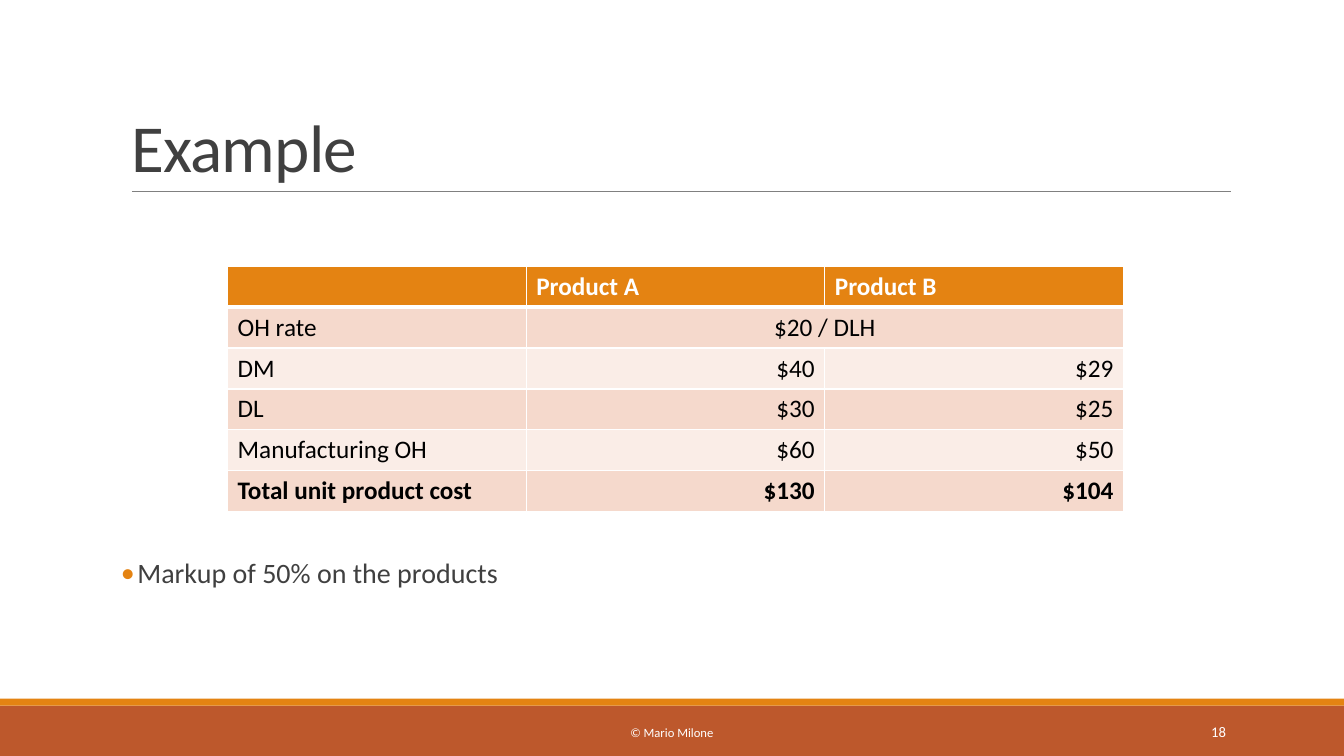
from dataclasses import dataclass

from lxml.etree import SubElement
from pptx import Presentation
from pptx.dml.color import RGBColor
from pptx.enum.shapes import MSO_CONNECTOR as Connector, MSO_SHAPE as Shape
from pptx.enum.text import MSO_ANCHOR as Anchor, MSO_AUTO_SIZE as AutoSize, PP_ALIGN as Align
from pptx.oxml import parse_xml
from pptx.oxml.ns import nsdecls, qn
from pptx.util import Pt

# Content
TITLE = "Example"
BULLET = "Markup of 50% on the products"
FOOTER = "© Mario Milone"
SLIDE_NUMBER = "18"
COST_TABLE = [
    ("", "Product A", "Product B"),
    ("OH rate", "$20 / DLH", ""),
    ("DM", "$40", "$29"),
    ("DL", "$30", "$25"),
    ("Manufacturing OH", "$60", "$50"),
    ("Total unit product cost", "$130", "$104"),
]
SHARED_ROW = 1  # one value spans both products


@dataclass(frozen=True)
class Theme:
    font: str = "Calibri"
    white: str = "FFFFFF"
    black: str = "000000"
    text: str = "404040"
    rule: str = "808080"
    accent: str = "E48312"
    footer_band: str = "BD582C"
    row_dark: str = "F5D9CC"
    row_light: str = "FAEDE7"
    title_size: float = 48
    body_size: float = 20
    table_size: float = 18
    number_size: float = 10.5
    footer_size: float = 9


THEME = Theme()
WIDTH, HEIGHT = 960, 540
MARGIN, CONTENT_WIDTH = 86.4, 792
BAND_TOP, STRIPE_HEIGHT = 504, 5
TABLE_LEFT, TABLE_TOP = 162.6, 190.2
COLUMN_WIDTH, ROW_HEIGHT = 213.3, 29.2
BULLET_INDENT = 11.7


def style(paragraph, size, color, align=Align.LEFT, bold=False):
    paragraph.alignment = align
    font = paragraph.font
    font.name, font.size, font.bold = THEME.font, Pt(size), bold
    font.color.rgb = RGBColor.from_string(color)


def place(shape, left, top, width, height):
    shape.left, shape.top, shape.width, shape.height = map(Pt, (left, top, width, height))


def add_bar(slide, top, height, color):
    bar = slide.shapes.add_shape(Shape.RECTANGLE, 0, Pt(top), Pt(WIDTH), Pt(height))
    bar.shadow.inherit = False
    bar.fill.solid()
    bar.fill.fore_color.rgb = RGBColor.from_string(color)
    bar.line.fill.background()


def add_label(slide, text, left, width, size, align):
    frame = slide.shapes.add_textbox(Pt(left), Pt(508.5), Pt(width), Pt(28.8)).text_frame
    frame.word_wrap = True
    frame.vertical_anchor = Anchor.MIDDLE
    frame.text = text
    style(frame.paragraphs[0], size, THEME.white, align)


def add_bullet(paragraph):
    properties = paragraph._p.get_or_add_pPr()
    properties.set("marL", str(Pt(BULLET_INDENT)))
    properties.set("indent", str(-Pt(BULLET_INDENT)))
    color = SubElement(properties, qn("a:buClr"))
    SubElement(color, qn("a:srgbClr"), val=THEME.accent)
    SubElement(properties, qn("a:buFont"), typeface=THEME.font)
    SubElement(properties, qn("a:buChar"), char="•")


def set_borders(cell, top, bottom):
    properties = cell._tc.get_or_add_tcPr()
    widths = {"lnL": 1, "lnR": 1, "lnT": top, "lnB": bottom}
    for position, (side, width) in enumerate(widths.items()):
        properties.insert(position, parse_xml(
            f'<a:{side} {nsdecls("a")} w="{Pt(width)}"><a:solidFill>'
            f'<a:srgbClr val="{THEME.white}"/></a:solidFill></a:{side}>'))


def add_cost_table(slide):
    rows, columns = len(COST_TABLE), len(COST_TABLE[0])
    table = slide.shapes.add_table(
        rows, columns, Pt(TABLE_LEFT), Pt(TABLE_TOP),
        Pt(COLUMN_WIDTH * columns), Pt(ROW_HEIGHT * rows)).table
    for row, values in enumerate(COST_TABLE):
        table.rows[row].height = Pt(ROW_HEIGHT)
        header, total = row == 0, row == rows - 1
        band = THEME.row_dark if row % 2 else THEME.row_light
        for column, value in enumerate(values):
            cell = table.cell(row, column)
            cell.text = value
            cell.fill.solid()
            cell.fill.fore_color.rgb = RGBColor.from_string(THEME.accent if header else band)
            set_borders(cell, 3 if row == 1 else 1, 3 if header else 1)
            if header or column == 0:
                align = Align.LEFT
            else:
                align = Align.CENTER if row == SHARED_ROW else Align.RIGHT
            style(cell.text_frame.paragraphs[0], THEME.table_size,
                  THEME.white if header else THEME.black, align, header or total)
    for column in table.columns:
        column.width = Pt(COLUMN_WIDTH)
    table.cell(SHARED_ROW, 1).merge(table.cell(SHARED_ROW, columns - 1))


def main():
    presentation = Presentation()
    presentation.slide_width, presentation.slide_height = Pt(WIDTH), Pt(HEIGHT)
    slide = presentation.slides.add_slide(presentation.slide_layouts[1])

    # Footer bands and title rule
    add_bar(slide, BAND_TOP, HEIGHT - BAND_TOP, THEME.footer_band)
    add_bar(slide, BAND_TOP - STRIPE_HEIGHT, STRIPE_HEIGHT, THEME.accent)
    rule = slide.shapes.add_connector(Connector.STRAIGHT, Pt(94.3), Pt(136.8), Pt(879), Pt(136.8))
    rule.line.color.rgb = RGBColor.from_string(THEME.rule)
    rule.line.width = Pt(0.5)
    SubElement(rule._element.spPr, qn("a:effectLst"))

    # Title
    title = slide.shapes.title
    place(title, MARGIN, 22.3, CONTENT_WIDTH, 114.5)
    frame = title.text_frame
    frame.text = TITLE
    frame.auto_size = AutoSize.NONE
    frame.vertical_anchor = Anchor.BOTTOM
    paragraph = frame.paragraphs[0]
    paragraph.line_spacing = 0.85
    paragraph.runs[0]._r.get_or_add_rPr().set("spc", "-50")
    style(paragraph, THEME.title_size, THEME.text)

    # Bullet below the table
    body = slide.placeholders[1]
    place(body, MARGIN, 396.2, CONTENT_WIDTH, 66)
    frame = body.text_frame
    frame.text = BULLET
    frame.auto_size = AutoSize.NONE
    frame.vertical_anchor = Anchor.TOP
    frame.margin_left = frame.margin_right = 0
    paragraph = frame.paragraphs[0]
    paragraph.line_spacing = 0.9
    paragraph.space_before = Pt(0)
    add_bullet(paragraph)
    style(paragraph, THEME.body_size, THEME.text)

    add_cost_table(slide)

    # Footer text
    add_label(slide, FOOTER, 290.2, 379.4, THEME.footer_size, Align.CENTER)
    add_label(slide, SLIDE_NUMBER, 779.8, 103, THEME.number_size, Align.RIGHT)

    presentation.save("out.pptx")


if __name__ == "__main__":
    main()
